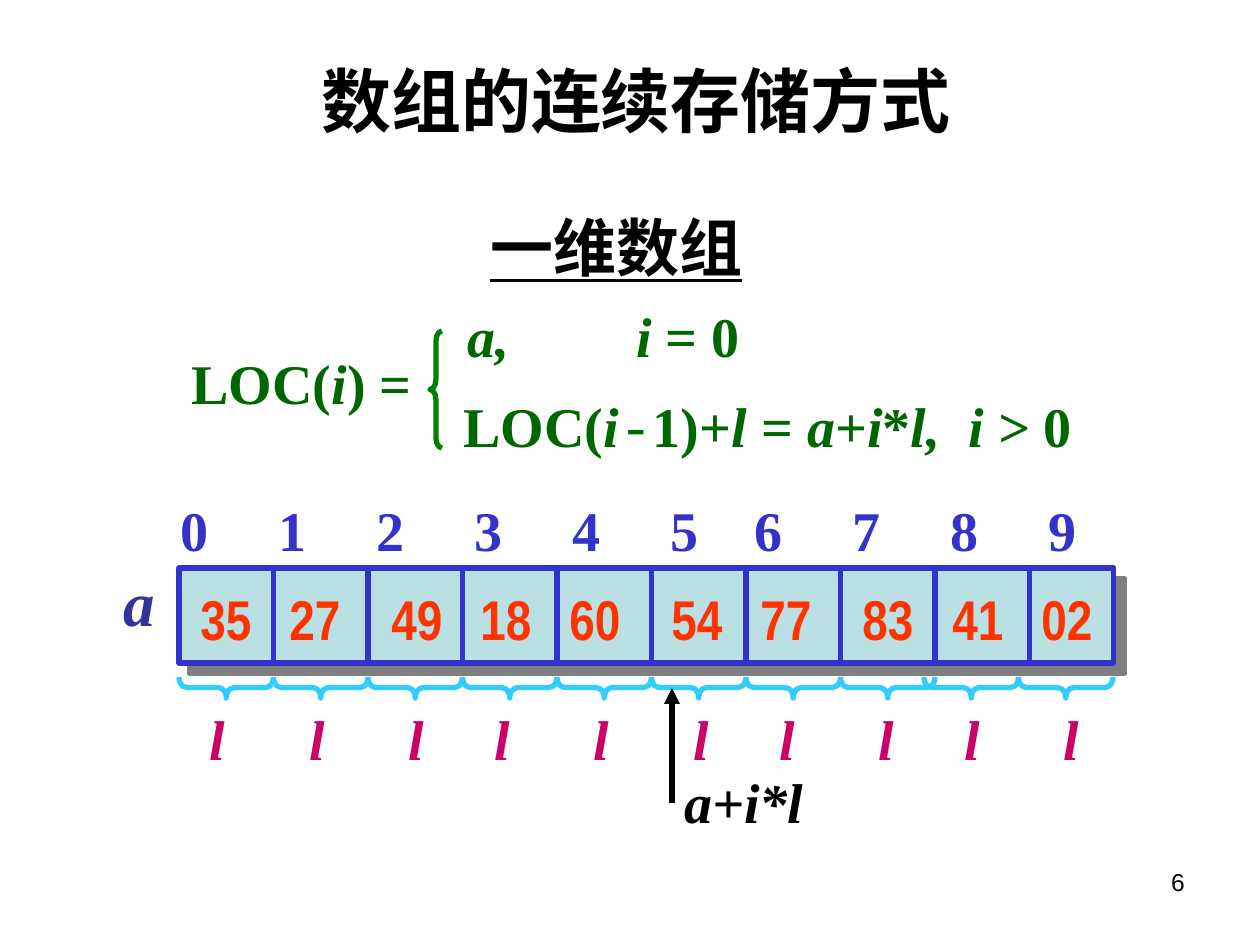
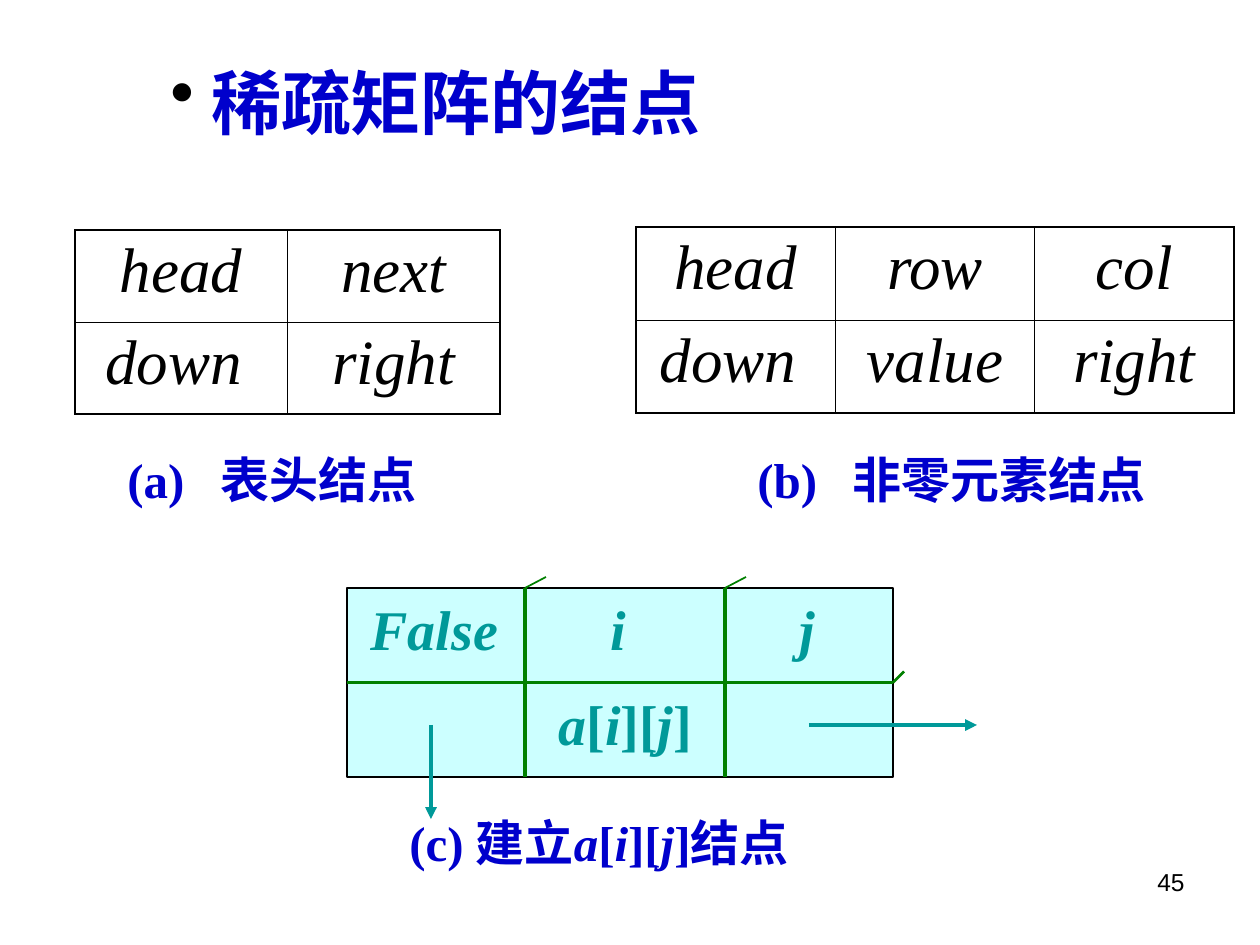
from itertools import accumulate

from lxml import etree
from pptx import Presentation
from pptx import util as u
from pptx.dml.color import RGBColor
from pptx.enum import shapes, text
from pptx.oxml import ns

# ---- Shared look ----
EMU_PER_PX = 914400 / 126
BLACK, BLUE, TEAL, GREEN = "000000", "0000CC", "009999", "008000"
FORMULA_GREEN, ARRAY_BLUE, BRACE_BLUE = "006600", "3333CC", "33CCFF"
SERIF, SANS, NARROW, MONO = "Times New Roman", "Arial", "Arial Narrow", "Courier New"
LEFT, CENTER, RIGHT = text.PP_ALIGN.LEFT, text.PP_ALIGN.CENTER, text.PP_ALIGN.RIGHT

# ---- Content; italic parts stand between underscores ----
# Formula parts: markup, left, top, width, tab stops
FORMULA = [
    ("LOC(_i_) =", 179, 342, 284, ()),
    ("_a,\ti_ = 0", 455, 295, 375, (169,)),
    ("LOC(_i_-__1)+_l_ = _a_+_i_*_l,\ti >_ 0", 451, 385, 725, (505,)),
]
# Array rows: labels, gaps between label starts, left, top, font, colour, italic
ARRAY_ROWS = [
    ("35 27 49 18 60 54 77 83 41 02", (89, 102, 89, 89, 102, 89, 102, 90, 89),
     188, 578, NARROW, "FF3300", False),
    ("0 1 2 3 4 5 6 7 8 9", (98, 98, 98, 98, 98, 84, 98, 98, 98),
     168, 489, SERIF, ARRAY_BLUE, False),
    ("l l l l l l l l l l", (100, 99, 86, 99, 100, 86, 99, 86, 99),
     197, 698, SERIF, "CC0066", True),
]
ARRAY = (179, 568, 935, 95)
CELL = 94.5
BRACE_STARTS = [179 + CELL * i for i in range(8)] + [924 + CELL * i for i in range(2)]

# Node tables: rows, left, top, width, row height
NODE_TABLES = [
    ([["head", "row", "col"], ["down ", "value", "right"]], 636, 227, 598, 93),
    ([["head", "next"], ["down ", "right"]], 75, 230, 425, 92),
]
CAPTIONS = "(a)\t表头结点\t(b)\t非零元素结点"
# Fields of the example node: markup, left, top, width
NODE_FIELDS = [
    ("_False_", 358, 588, 160),
    ("_i_", 598, 588, 45),
    ("_j_", 787, 588, 45),
    ("_a_[_i_][_j_]", 546, 683, 165),
]
NODE = (347, 588, 546, 189)


# ---- Helpers ----
def px(length):
    return u.Emu(round(length * EMU_PER_PX))


def color(hex_string):
    return RGBColor.from_string(hex_string)


def add_xml(parent, tag, **attributes):
    return etree.SubElement(parent, ns.qn(tag), attributes)


def set_font(font, size, hex_string, name=SERIF, bold=True, italic=None):
    font.size, font.name, font.bold, font.italic = u.Pt(size), name, bold, italic
    font.color.rgb = color(hex_string)


def add_text(slide, markup, left, top, width, height=80, size=32, hex_string=BLACK,
             name=SERIF, bold=True, underline=None, align=LEFT, tabs=(), bullet=None,
             anchor=text.MSO_ANCHOR.TOP):
    frame = slide.shapes.add_textbox(px(left), px(top), px(width), px(height)).text_frame
    frame.word_wrap = True
    frame.vertical_anchor = anchor
    paragraph = frame.paragraphs[0]
    paragraph.alignment = align
    properties = paragraph._p.get_or_add_pPr()
    if bullet:
        add_xml(add_xml(properties, "a:buClr"), "a:srgbClr", val=BLACK)
        add_xml(properties, "a:buChar", char=bullet)
    if tabs:
        tab_list = add_xml(properties, "a:tabLst")
        for stop in tabs:
            add_xml(tab_list, "a:tab", pos=str(px(stop)), algn="l")

    parts = [(part, bool(i % 2)) for i, part in enumerate(markup.split("_")) if part]
    all_italic = all(italic for _, italic in parts)
    set_font(paragraph.font, size, hex_string, name, bold, all_italic)
    paragraph.font.underline = underline
    for part, italic in parts:
        run = paragraph.add_run()
        run.text = part
        if italic != all_italic:
            run.font.italic = italic
        if part == "-":
            run.font.name, run.font.bold = MONO, False


def add_line(slide, start, end, hex_string, width, arrow=False):
    line = slide.shapes.add_connector(
        shapes.MSO_CONNECTOR.STRAIGHT, *map(px, start), *map(px, end))
    line.line.color.rgb = color(hex_string)
    line.line.width = u.Pt(width)
    if arrow:
        add_xml(line.line._get_or_add_ln(), "a:tailEnd", type="triangle")
    add_xml(line._element.spPr, "a:effectLst")
    return line


def add_shape(slide, kind, box, line_color, line_width, fill=None):
    shape = slide.shapes.add_shape(kind, *map(px, box))
    shape.shadow.inherit = False
    if fill:
        shape.fill.solid()
        shape.fill.fore_color.rgb = color(fill)
    else:
        shape.fill.background()
    shape.line.color.rgb = color(line_color)
    shape.line.width = u.Pt(line_width)
    return shape


def add_brace(slide, left, top, width, height, line_color, corner, rotation=0):
    brace = add_shape(slide, shapes.MSO_SHAPE.LEFT_BRACE,
                      (left, top, width, height), line_color, 3)
    brace.adjustments[0] = corner
    brace.rotation = rotation


def add_hard_shadow(shape, hex_string, distance):
    effects = shape._element.spPr.find(ns.qn("a:effectLst"))
    shadow = add_xml(effects, "a:outerShdw", dist=str(u.Pt(distance)), dir="2700000",
                     algn="ctr", rotWithShape="0")
    add_xml(shadow, "a:srgbClr", val=hex_string)


def add_node_table(slide, rows, left, top, width, row_height):
    row_count, column_count = len(rows), len(rows[0])
    table = slide.shapes.add_table(row_count, column_count, px(left), px(top), px(width),
                                   px(row_height * row_count)).table
    table.first_row = table.horz_banding = False
    for column in table.columns:
        column.width = px(width / column_count)
    for r, labels in enumerate(rows):
        table.rows[r].height = px(row_height)
        for c, label in enumerate(labels):
            cell = table.cell(r, c)
            cell.text = label
            paragraph = cell.text_frame.paragraphs[0]
            paragraph.alignment = CENTER
            set_font(paragraph.font, 36, BLACK, bold=False, italic=True)
            outer_sides = {"L": c == 0, "R": c == column_count - 1,
                           "T": r == 0, "B": r == row_count - 1}
            for side, is_outer in outer_sides.items():
                border = add_xml(cell._tc.get_or_add_tcPr(), f"a:ln{side}",
                                 w=str(u.Pt(1.08 if is_outer else 0.45)))
                add_xml(add_xml(border, "a:solidFill"), "a:srgbClr", val=BLACK)
            cell.fill.background()


def add_page_number(slide, number):
    add_text(slide, str(number), 903, 861, 294, 66, 14, name=SANS, bold=False, align=RIGHT)


# ---- Slides ----
def build_array_slide(slide):
    add_text(slide, "数组的连续存储方式", 305, 49, 662, 102, 40, name=SANS,
             align=CENTER, anchor=text.MSO_ANCHOR.MIDDLE)
    add_text(slide, "一维数组", 391, 202, 451, 95, 36, name=SANS,
             underline=True, align=CENTER)

    # Address formula
    add_brace(slide, 430, 331, 12, 117, GREEN, 0.83)
    for markup, left, top, width, tabs in FORMULA:
        add_text(slide, markup, left, top, width, hex_string=FORMULA_GREEN, tabs=tabs)

    # Array cells with their values, indexes and lengths
    array = add_shape(slide, shapes.MSO_SHAPE.RECTANGLE, ARRAY, ARRAY_BLUE, 3, "BBE0E3")
    add_hard_shadow(array, "808080", 8.5)
    left, top, _, height = ARRAY
    for i in range(1, 10):
        x = left + CELL * i
        add_line(slide, (x, top), (x, top + height), ARRAY_BLUE, 3)
    for labels, gaps, row_left, row_top, name, hex_string, italic in ARRAY_ROWS:
        markup = labels.replace(" ", "\t")
        add_text(slide, f"_{markup}_" if italic else markup, row_left, row_top, 960,
                 hex_string=hex_string, name=name, tabs=list(accumulate(gaps)))

    # Horizontal braces: upright ones turned about their centre
    depth = 21
    for start in BRACE_STARTS:
        add_brace(slide, start + (CELL - depth) / 2, 677 - (CELL - depth) / 2,
                  depth, CELL, BRACE_BLUE, 0.37, 270)

    # Address pointer and array name
    add_line(slide, (672, 803), (672, 688), BLACK, 3, arrow=True)
    add_text(slide, "_a+i*l_", 672, 761, 150)
    add_text(slide, "_a_", 111, 557, 60, 88, 36, "333399")
    add_page_number(slide, 6)


def build_node_slide(slide):
    add_text(slide, " 稀疏矩阵的结点", 158, 53, 620, 96, 40, BLUE, bullet="•")
    for node_table in NODE_TABLES:
        add_node_table(slide, *node_table)
    add_text(slide, CAPTIONS, 115, 443, 1071, 131, 28, BLUE, tabs=(93, 630, 725))

    # Example node, its grid and the slanted ticks
    node = add_shape(slide, shapes.MSO_SHAPE.RECTANGLE, NODE, BLACK, 0.75, "CCFFFF")
    left, top, width, height = NODE
    right, middle = left + width, top + height / 2
    row_line = add_line(slide, (left, middle), (right, middle), GREEN, 2.25)
    row_line.begin_connect(node, 1)
    row_line.end_connect(node, 3)
    row_tick = add_line(slide, (right, middle), (right + 11, middle - 11), GREEN, 1.5)
    row_tick.begin_connect(node, 3)
    for x in (525, 725):
        add_line(slide, (x, top), (x, top + height), GREEN, 2.25)
        add_line(slide, (x, top), (x + 21, top - 11), GREEN, 1)
    for field in NODE_FIELDS:
        add_text(slide, *field, hex_string=TEAL)

    # Pointers down and right
    add_line(slide, (431, 725), (431, 819), TEAL, 2.25, arrow=True)
    add_line(slide, (809, 725), (977, 725), TEAL, 2.25, arrow=True)
    add_text(slide, "(c) 建立_a_[_i_][_j_]结点", 397, 806, 470, 80, 28, BLUE)
    add_page_number(slide, 45)


def main():
    presentation = Presentation()
    presentation.slide_width, presentation.slide_height = px(1260), px(945)
    for build in (build_array_slide, build_node_slide):
        build(presentation.slides.add_slide(presentation.slide_layouts[6]))
    presentation.save("out.pptx")


if __name__ == "__main__":
    main()
